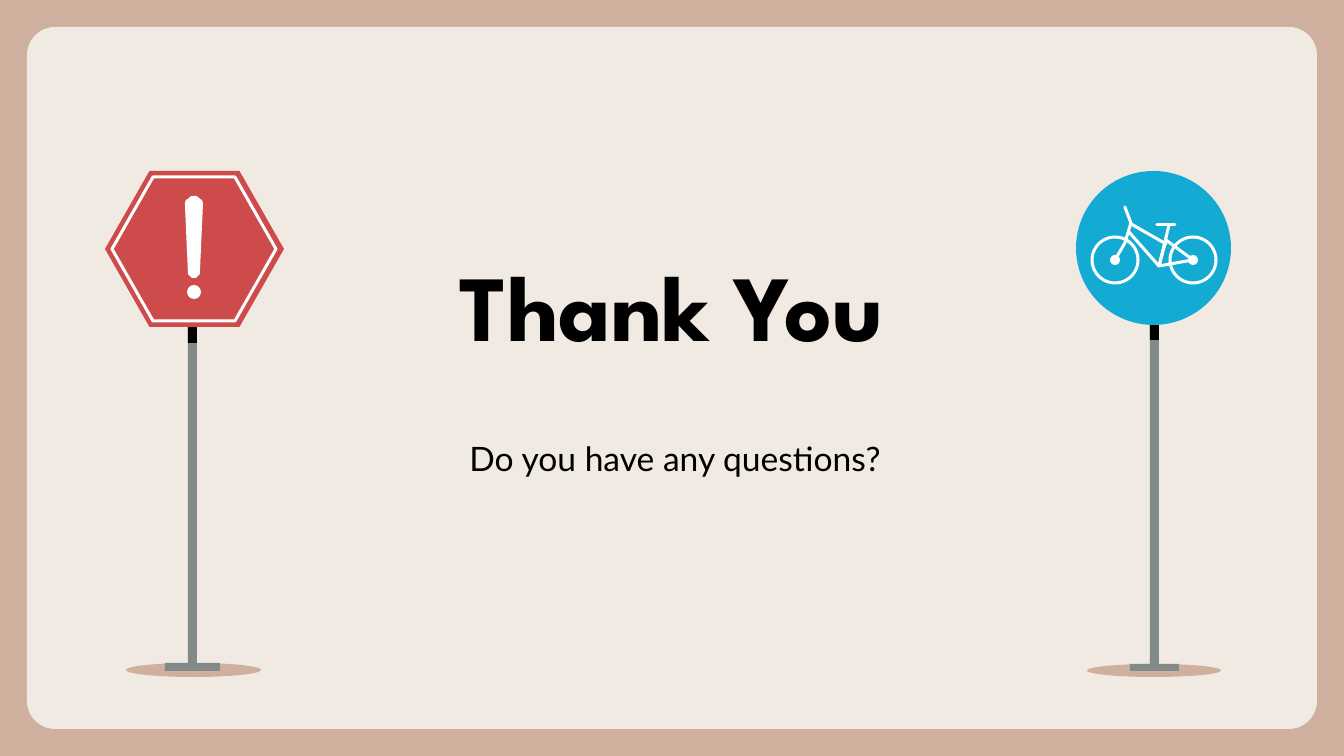
import math
from typing import NamedTuple, Optional

from pptx import Presentation
from pptx import util as u
from pptx.dml.color import RGBColor
from pptx.enum import shapes, text
from pptx.oxml.ns import qn

W, H = 1344, 756
PX = u.Inches(10) / W
COLORS = {
    "clay": "CFAF9E", "cream": "F1EAE2", "steel": "818989", "black": "000000",
    "red": "CD4B4B", "blue": "13ABD4", "white": "FFFFFF",
}
SHAPE = shapes.MSO_SHAPE
HEX_ADJ = 0.285
STROKE = 3


class Box(NamedTuple):
    x: int
    y: int
    w: int
    h: int

    def emu(self) -> list[int]:
        return [round(v * PX) for v in self]


class Post(NamedTuple):
    shadow: Box
    pole: Box
    collar: Box
    foot: Box


def rgb(name: str) -> RGBColor:
    return RGBColor.from_string(COLORS[name])


def paint(sp, fill: Optional[str], line: Optional[str] = None, width: int = STROKE):
    """Apply fill and outline; None leaves that part empty."""
    sp.shadow.inherit = False
    if fill:
        sp.fill.solid()
        sp.fill.fore_color.rgb = rgb(fill)
    else:
        sp.fill.background()
    if line:
        sp.line.color.rgb = rgb(line)
        sp.line.width = round(width * PX)
    else:
        sp.line.fill.background()
    return sp


def add_preset(parent, kind, box: Box, fill: Optional[str], line: Optional[str] = None,
               width: int = STROKE, adj: Optional[float] = None):
    sp = parent.shapes.add_shape(kind, *box.emu())
    if adj is not None:
        sp.adjustments[0] = adj
    return paint(sp, fill, line, width)


def add_path(parent, points: list, close: bool):
    builder = parent.shapes.build_freeform(*points[0], scale=PX)
    builder.add_line_segments(points[1:], close=close)
    return builder.convert_to_shape()


def add_stroke(parent, points: list, close: bool = False) -> None:
    sp = paint(add_path(parent, points, close), None, "white")
    sp.element.find(".//" + qn("a:ln")).set("cap", "rnd")


def circle(cx: int, cy: int, r: int) -> Box:
    return Box(cx - r, cy - r, 2 * r, 2 * r)


def arc(cx: int, cy: int, r: int, start: int) -> list:
    """Points of a half circle, clockwise from the start angle in degrees."""
    angles = [math.radians(start + step) for step in range(0, 181, 15)]
    return [(cx + r * math.cos(a), cy + r * math.sin(a)) for a in angles]


def add_post(parent, post: Post) -> None:
    add_preset(parent, SHAPE.OVAL, post.shadow, "clay")
    for box, color in ((post.pole, "steel"), (post.collar, "black"), (post.foot, "steel")):
        add_preset(parent, SHAPE.RECTANGLE, box, color)


def add_warning_sign(parent) -> None:
    add_preset(parent, SHAPE.HEXAGON, Box(105, 171, 179, 156), "red", adj=HEX_ADJ)
    add_preset(parent, SHAPE.HEXAGON, Box(112, 177, 164, 144), None, "white", adj=HEX_ADJ)
    paint(add_path(parent, arc(194, 205, 9, 180) + arc(194, 272, 6, 0), True), "white")
    add_preset(parent, SHAPE.OVAL, circle(194, 292, 7), "white")


def add_bicycle_sign(parent) -> None:
    add_preset(parent, SHAPE.OVAL, Box(1076, 171, 155, 154), "blue")
    for cx in (1115, 1193):
        add_preset(parent, SHAPE.OVAL, circle(cx, 260, 23), None, "white")
        add_preset(parent, SHAPE.OVAL, circle(cx, 260, 5), "white")
    rear_triangle = [(1159, 266), (1193, 260), (1166, 240)]
    seat_post = [(1169, 225), (1159, 266)]
    down_tube = [(1129, 232), (1159, 266)]
    fork = [(1125, 207), (1131, 223), (1125, 243), (1115, 260)]
    top_tube = [(1131, 224), (1166, 244)]
    saddle = [(1157, 225), (1175, 225)]
    add_stroke(parent, rear_triangle, close=True)
    for points in (seat_post, down_tube, fork, top_tube, saddle):
        add_stroke(parent, points)


def fill_placeholder(sp, box: Box, words: str, font: str, size: int, bold: bool,
                     align, anchor, spacing: float) -> None:
    sp.left, sp.top, sp.width, sp.height = box.emu()
    tf = sp.text_frame
    tf.text = words
    tf.word_wrap = True
    tf.auto_size = text.MSO_AUTO_SIZE.NONE
    tf.vertical_anchor = anchor
    tf.margin_left = tf.margin_right = tf.margin_top = tf.margin_bottom = u.Inches(0.1)
    p = tf.paragraphs[0]
    p.alignment = align
    p.line_spacing = spacing
    p.space_before = u.Pt(0)
    r = p.runs[0]
    r.font.name, r.font.size, r.font.bold = font, u.Pt(size), bold
    r.font.color.rgb = rgb("black")


def main() -> None:
    prs = Presentation()
    prs.slide_width, prs.slide_height = round(W * PX), round(H * PX)
    s = prs.slides.add_slide(prs.slide_layouts[0])
    s.background.fill.solid()
    s.background.fill.fore_color.rgb = rgb("clay")

    title, subtitle = s.placeholders
    panel = add_preset(s, SHAPE.ROUNDED_RECTANGLE, Box(27, 27, 1290, 702), "cream", adj=0.04)
    title.element.addprevious(panel.element)
    fill_placeholder(title, Box(336, 237, 672, 134), "Thank You", "League Spartan", 50, True,
                     text.PP_ALIGN.CENTER, text.MSO_ANCHOR.MIDDLE, 1.0)
    fill_placeholder(subtitle, Box(456, 418, 480, 93), "Do you have any questions?", "Lato", 18,
                     False, text.PP_ALIGN.LEFT, text.MSO_ANCHOR.TOP, 1.15)

    left_post = Post(Box(126, 663, 135, 14), Box(188, 216, 9, 455),
                     Box(188, 312, 9, 31), Box(165, 663, 55, 8))
    right_post = Post(Box(1087, 664, 134, 13), Box(1150, 257, 9, 414),
                      Box(1150, 312, 9, 28), Box(1130, 664, 49, 7))
    for post, add_sign in ((left_post, add_warning_sign), (right_post, add_bicycle_sign)):
        group = s.shapes.add_group_shape()
        add_post(group, post)
        add_sign(group)

    prs.save("out.pptx")


if __name__ == "__main__":
    main()
